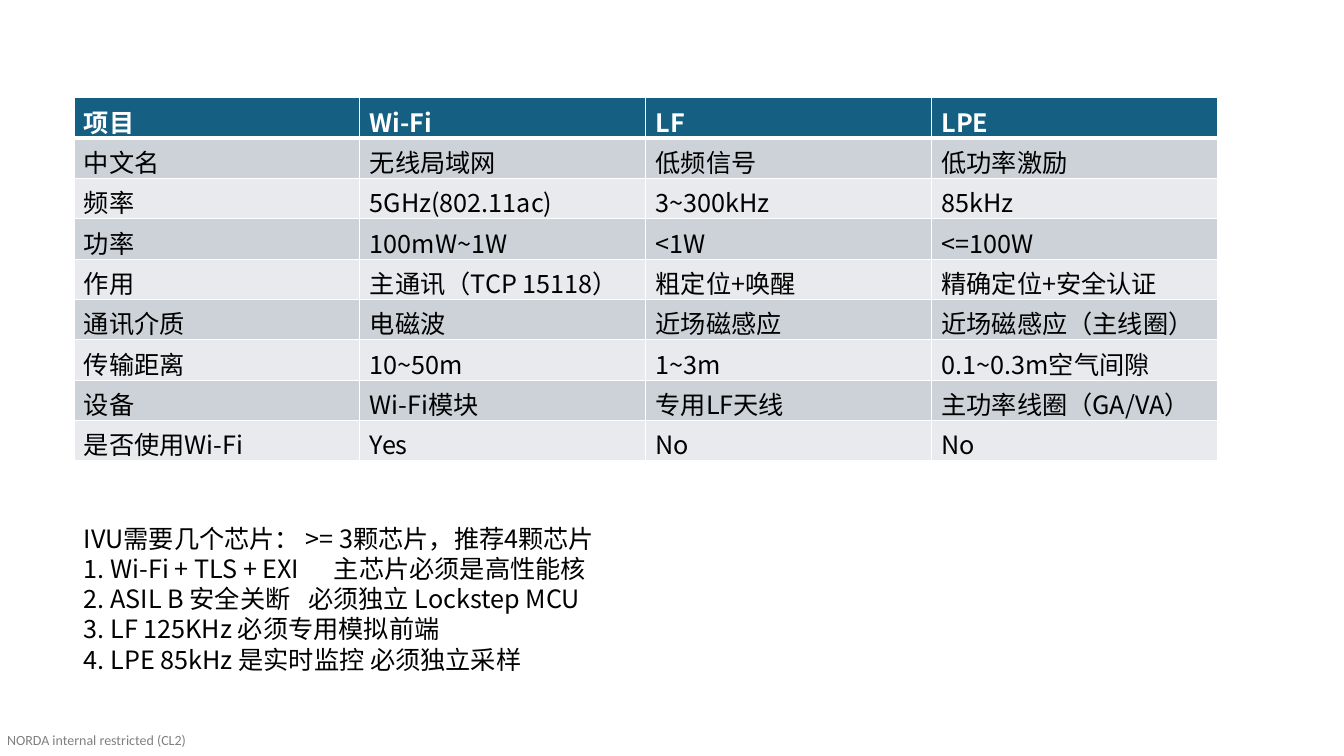
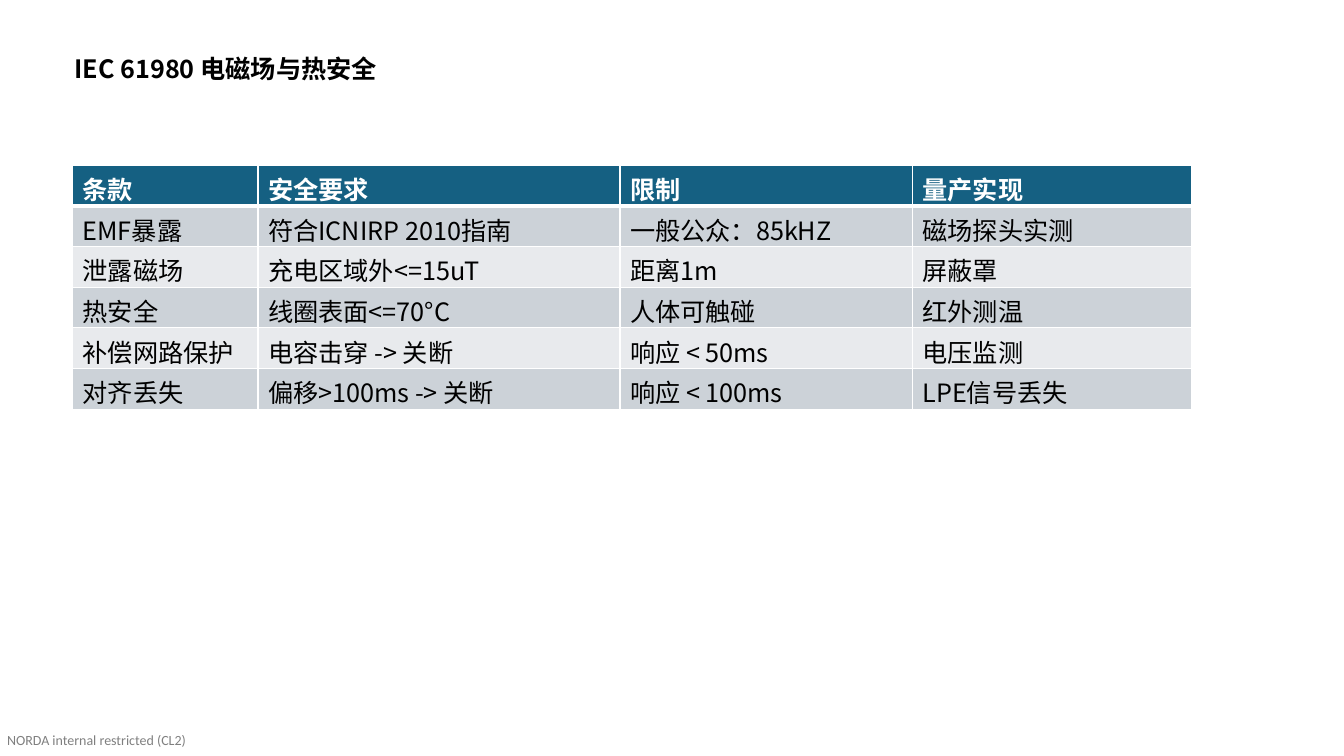
from lxml.etree import SubElement
from pptx import Presentation
from pptx.dml.color import RGBColor
from pptx.oxml.ns import qn
from pptx.util import Inches, Pt

# Shared style
WHITE = RGBColor(0xFF, 0xFF, 0xFF)
BLACK = RGBColor(0x00, 0x00, 0x00)
HEADER = RGBColor(0x15, 0x60, 0x82)
BANDS = (RGBColor(0xCC, 0xD2, 0xD8), RGBColor(0xE8, 0xEA, 0xED))
BODY_FONT, FOOTER_FONT = "Noto Sans CJK SC", "Calibri"
BODY_SIZE, FOOTER_SIZE = 18, 10
FOOTER = "NORDA internal restricted (CL2)"


class Deck:
    """Places elements by percent of the slide's width and height."""

    def __init__(self):
        self.prs = Presentation()
        self.prs.slide_width, self.prs.slide_height = Inches(13.33), Inches(7.5)

    def x(self, share):
        return int(self.prs.slide_width * share / 100)

    def y(self, share):
        return int(self.prs.slide_height * share / 100)

    def new_slide(self):
        self.s = self.prs.slides.add_slide(self.prs.slide_layouts[6])
        self.footer()

    def style(self, p, color=BLACK, bold=False, size=BODY_SIZE, font=BODY_FONT):
        for r in p.runs:
            r.font.size, r.font.bold, r.font.name = Pt(size), bold, font
            r.font.color.rgb = color
            SubElement(r.font._element, qn("a:ea"), typeface=font)

    def text(self, left, top, width, height, lines, **look):
        sp = self.s.shapes.add_textbox(self.x(left), self.y(top), self.x(width), self.y(height))
        tf = sp.text_frame
        tf.word_wrap = True
        tf.text = "\n".join(lines)
        for p in tf.paragraphs:
            self.style(p, **look)
        return tf

    def footer(self):
        tf = self.text(0.53, 96.8, 13.58, 2.27, [FOOTER], size=FOOTER_SIZE, font=FOOTER_FONT)
        tf.margin_left = tf.margin_right = tf.margin_top = tf.margin_bottom = 0
        color = tf.paragraphs[0].runs[0].font._element.find(f".//{qn('a:srgbClr')}")
        SubElement(color, qn("a:alpha"), val="50000")

    def title(self, text):
        self.text(4.8, 6.4, 65.72, 5.33, [text], bold=True)

    def tab_stop(self, p, share):
        tabs = SubElement(p._p.get_or_add_pPr(), qn("a:tabLst"))
        SubElement(tabs, qn("a:tab"), pos=str(self.x(share)), algn="l")

    def borders(self, cell, bottom):
        tcPr = cell._tc.get_or_add_tcPr()
        for side, width in (("L", 1), ("R", 1), ("T", 1), ("B", bottom)):
            ln = SubElement(tcPr, qn(f"a:ln{side}"), w=str(Pt(width)))
            fill = SubElement(ln, qn("a:solidFill"))
            SubElement(fill, qn("a:srgbClr"), val=str(WHITE))

    def table(self, left, top, widths, row_height, rows):
        frame = self.s.shapes.add_table(
            len(rows), len(widths), self.x(left), self.y(top),
            self.x(sum(widths)), self.y(row_height * len(rows)))
        table = frame.table
        table.horz_banding = False
        for column, width in zip(table.columns, widths):
            column.width = self.x(width)
        for i, row in enumerate(rows):
            head = i == 0
            for j, text in enumerate(row):
                cell = table.cell(i, j)
                cell.text_frame.text = text
                self.style(cell.text_frame.paragraphs[0], WHITE if head else BLACK, head)
                self.borders(cell, 3 if head else 1)
                cell.fill.solid()
                cell.fill.fore_color.rgb = HEADER if head else BANDS[(i - 1) % 2]


RADIO_ROWS = [
    ("项目", "Wi-Fi", "LF", "LPE"),
    ("中文名", "无线局域网", "低频信号", "低功率激励"),
    ("频率", "5GHz(802.11ac)", "3~300kHz", "85kHz"),
    ("功率", "100mW~1W", "<1W", "<=100W"),
    ("作用", "主通讯（TCP 15118）", "粗定位+唤醒", "精确定位+安全认证"),
    ("通讯介质", "电磁波", "近场磁感应", "近场磁感应（主线圈）"),
    ("传输距离", "10~50m", "1~3m", "0.1~0.3m空气间隙"),
    ("设备", "Wi-Fi模块", "专用LF天线", "主功率线圈（GA/VA）"),
    ("是否使用Wi-Fi", "Yes", "No", "No"),
]
CHIP_LINES = [
    "IVU需要几个芯片： >= 3颗芯片，推荐4颗芯片",
    "1. Wi-Fi + TLS + EXI\t主芯片必须是高性能核",
    "2. ASIL B 安全关断\t必须独立 Lockstep MCU",
    "3. LF 125KHz 必须专用模拟前端",
    "4. LPE 85kHz 是实时监控 必须独立采样",
]
SAFETY_ROWS = [
    ("条款", "安全要求", "限制", "量产实现"),
    ("EMF暴露", "符合ICNIRP 2010指南", "一般公众：85kHZ", "磁场探头实测"),
    ("泄露磁场", "充电区域外<=15uT", "距离1m", "屏蔽罩"),
    ("热安全", "线圈表面<=70°C", "人体可触碰", "红外测温"),
    ("补偿网路保护", "电容击穿 -> 关断", "响应 < 50ms", "电压监测"),
    ("对齐丢失", "偏移>100ms -> 关断", "响应 < 100ms", "LPE信号丢失"),
]


def main():
    deck = Deck()

    # Radio comparison and chip count
    deck.new_slide()
    deck.table(5.5, 12.93, [21.27] * 4, 5.33, RADIO_ROWS)
    tf = deck.text(5.5, 68.53, 85.07, 25.6, CHIP_LINES)
    for p, stop in zip(tf.paragraphs[1:3], (18.6, 16.7)):
        deck.tab_stop(p, stop)

    # Field and thermal safety
    deck.new_slide()
    deck.title("IEC 61980 电磁场与热安全")
    deck.table(5.4, 21.87, [13.8, 26.93, 21.76, 20.78], 5.38, SAFETY_ROWS)

    deck.prs.save("out.pptx")


if __name__ == "__main__":
    main()
